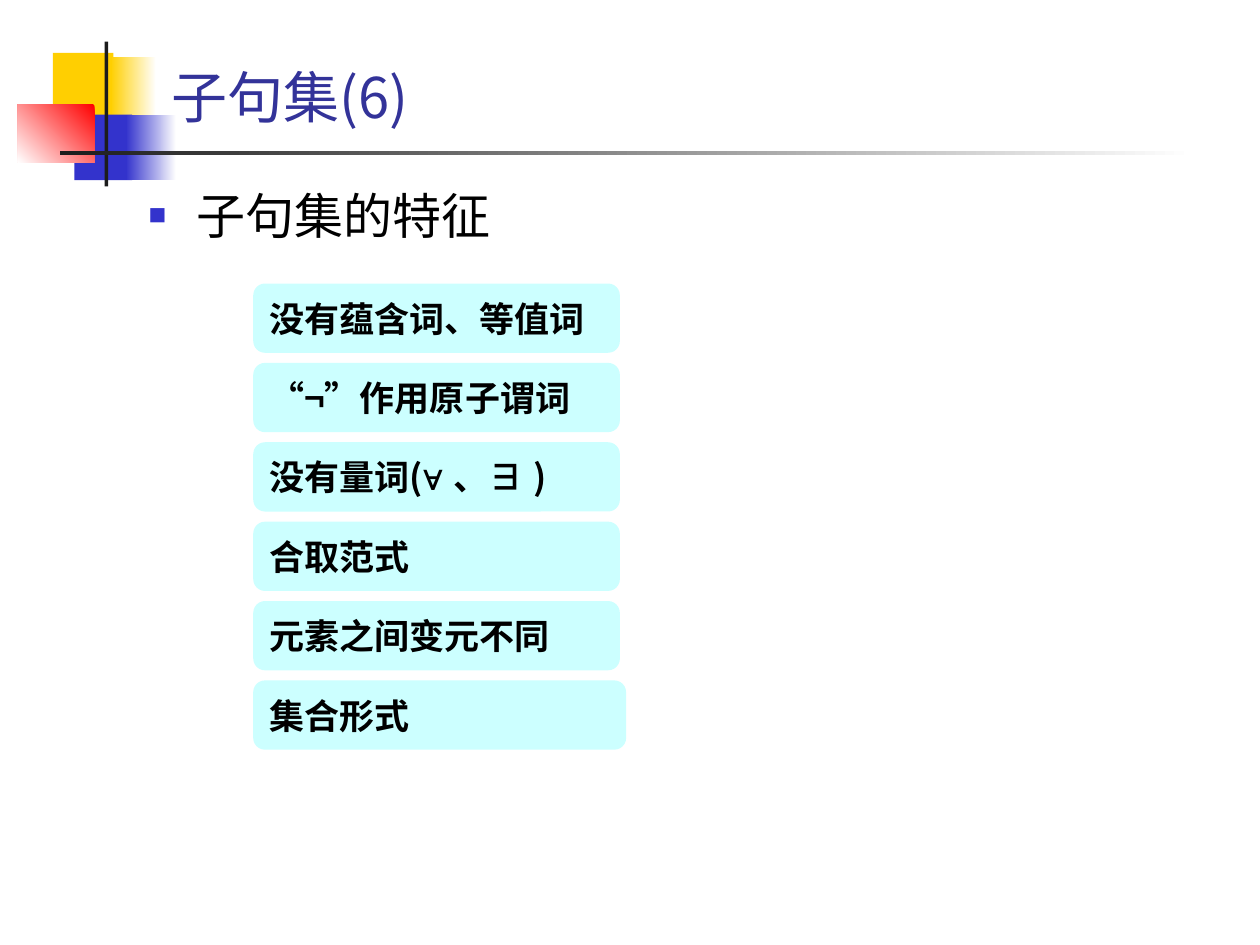
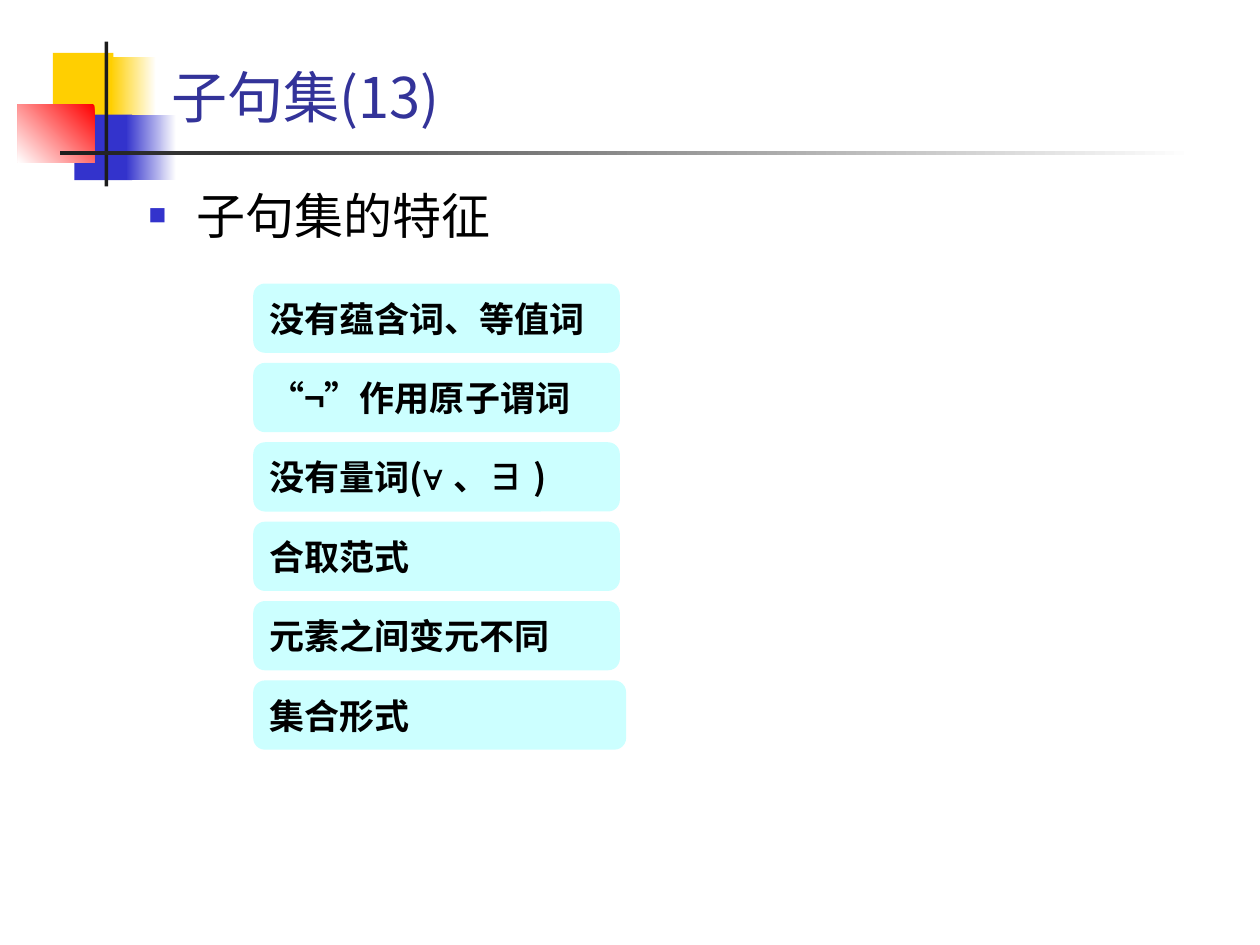
from lxml import etree
from pptx import Presentation
from pptx.dml.color import RGBColor
from pptx.enum.shapes import MSO_SHAPE
from pptx.enum.text import MSO_ANCHOR, MSO_AUTO_SIZE, PP_ALIGN
from pptx.oxml.ns import qn
from pptx.util import Pt

RECT, ROUND = MSO_SHAPE.RECTANGLE, MSO_SHAPE.ROUNDED_RECTANGLE
TOP, MIDDLE, BOTTOM = MSO_ANCHOR.TOP, MSO_ANCHOR.MIDDLE, MSO_ANCHOR.BOTTOM
LEFT, FIXED = PP_ALIGN.LEFT, MSO_AUTO_SIZE.NONE

TITLES = ["子句集(6)", "子句集(13)"]
HEAD = "子句集的特征"
CJK, LATIN, SANS = "Noto Sans CJK SC", "Arial", "Roboto"
TRAITS = [
    [("没有蕴含词、等值词", SANS)],
    [("“¬”作用原子谓词", CJK)],
    [("没有量词(", CJK), ("∀ ", LATIN), ("、", CJK), ("∃ ", LATIN), (")", CJK)],
    [("合取范式", CJK)],
    [("元素之间变元不同", CJK)],
    [("集合形式", CJK)],
]

THEME = {
    "white": "FFFFFF", "gold": "FFCF01", "blue": "3333CC", "red": "FF0000",
    "ink": "1C1C1C", "card": "CCFFFF",
    "title": {"size": 32, "bold": False, "color": "333399"},
    "body": {"size": 28, "bold": False, "color": "000000"},
    "trait": {"size": 20, "bold": True, "color": "000000"},
}

DECOR = [
    ((42, 42, 48, 52), ["gold"], 0),
    ((88, 45, 36, 52), ["white", "gold"], 180),
    ((59, 91, 46, 52), ["blue"], 0),
    ((100, 91, 40, 52), ["white", "blue"], 180),
    ((14, 83, 61, 46), ["red", "white"], 225),
    ((83, 33, 3, 115), ["ink"], 0),
    ((48, 120, 900, 3), ["white", "ink"], 180),
]

SCALE = 9144
WIDTH, HEIGHT = 1000, 750
TITLE_BOX = (126, 23, 852, 85)
BODY_BOX = (108, 142, 850, 500)
CARD_X, CARD_Y, CARD_W, CARD_H, STEP = 201, 225, 291, 55, 63
LAST_W = 296
BODY_IND, CARD_IND = 38, 67


def px(num):
    return num * SCALE


def rgb(name):
    return RGBColor.from_string(THEME.get(name, name))


def apply(item, form):
    for key, val in form.items():
        setattr(item, key, val)


def place(item, box):
    apply(item, dict(zip(("left", "top", "width", "height"), map(px, box))))


def draw(slide, kind, box, tones, angle=0):
    shape = slide.shapes.add_shape(kind, *map(px, box))
    shape.shadow.inherit = False
    shape.line.fill.background()
    if len(tones) == 1:
        shape.fill.solid()
        shape.fill.fore_color.rgb = rgb(tones[0])
    else:
        shape.fill.gradient()
        shape.fill.gradient_angle = angle
        for stop, tone in zip(shape.fill.gradient_stops, tones):
            stop.color.rgb = rgb(tone)
    return shape


def write(shape, runs, style, anchor, wrap=True, hang=0):
    frame = shape.text_frame
    apply(frame, {
        "auto_size": FIXED, "word_wrap": wrap, "vertical_anchor": anchor,
        "margin_left": px(10), "margin_right": px(10),
        "margin_top": px(5), "margin_bottom": px(5),
    })
    para = frame.paragraphs[0]
    apply(para, {"alignment": LEFT, "space_before": Pt(0)})
    props = para._p.get_or_add_pPr()
    props.set("marL", str(px(hang)))
    props.set("indent", str(px(-hang)))
    look = THEME[style]
    for text, face in runs:
        run = para.add_run()
        run.text = text
        apply(run.font, {"size": Pt(look["size"]), "bold": look["bold"], "name": face})
        run.font.color.rgb = rgb(look["color"])
        east = etree.SubElement(run.font._element, qn("a:ea"))
        east.set("typeface", face)
    return props


def bullet(props):
    tint = etree.SubElement(props, qn("a:buClr"))
    etree.SubElement(tint, qn("a:srgbClr")).set("val", THEME["blue"])
    for tag, key, val in (("a:buSzPct", "val", "60000"),
                          ("a:buFont", "typeface", LATIN),
                          ("a:buChar", "char", "■")):
        etree.SubElement(props, qn(tag)).set(key, val)


def adorn(slide, master):
    tree = master.shapes.element
    for num, (box, tones, angle) in enumerate(DECOR):
        node = draw(slide, RECT, box, tones, angle).element
        node.nvSpPr.cNvPr.set("id", str(100 + num))
        tree.insert(2 + num, node)


def build(slide, title, body):
    place(title[0], TITLE_BOX)
    write(title[0], [(title[1], CJK)], "title", BOTTOM)
    place(body, BODY_BOX)
    bullet(write(body, [(HEAD, SANS)], "body", TOP, hang=BODY_IND))
    for row, runs in enumerate(TRAITS):
        wide = LAST_W if row == len(TRAITS) - 1 else CARD_W
        box = (CARD_X, CARD_Y + row * STEP, wide, CARD_H)
        card = draw(slide, ROUND, box, ["card"])
        card.adjustments[0] = 0.17
        write(card, runs, "trait", MIDDLE, False, CARD_IND)


def main():
    deck = Presentation()
    apply(deck, {"slide_width": px(WIDTH), "slide_height": px(HEIGHT)})
    for num, text in enumerate(TITLES):
        slide = deck.slides.add_slide(deck.slide_layouts[1])
        if num == 0:
            adorn(slide, deck.slide_master)
        build(slide, (slide.shapes.title, text), slide.placeholders[1])
    deck.save("out.pptx")


if __name__ == "__main__":
    main()
